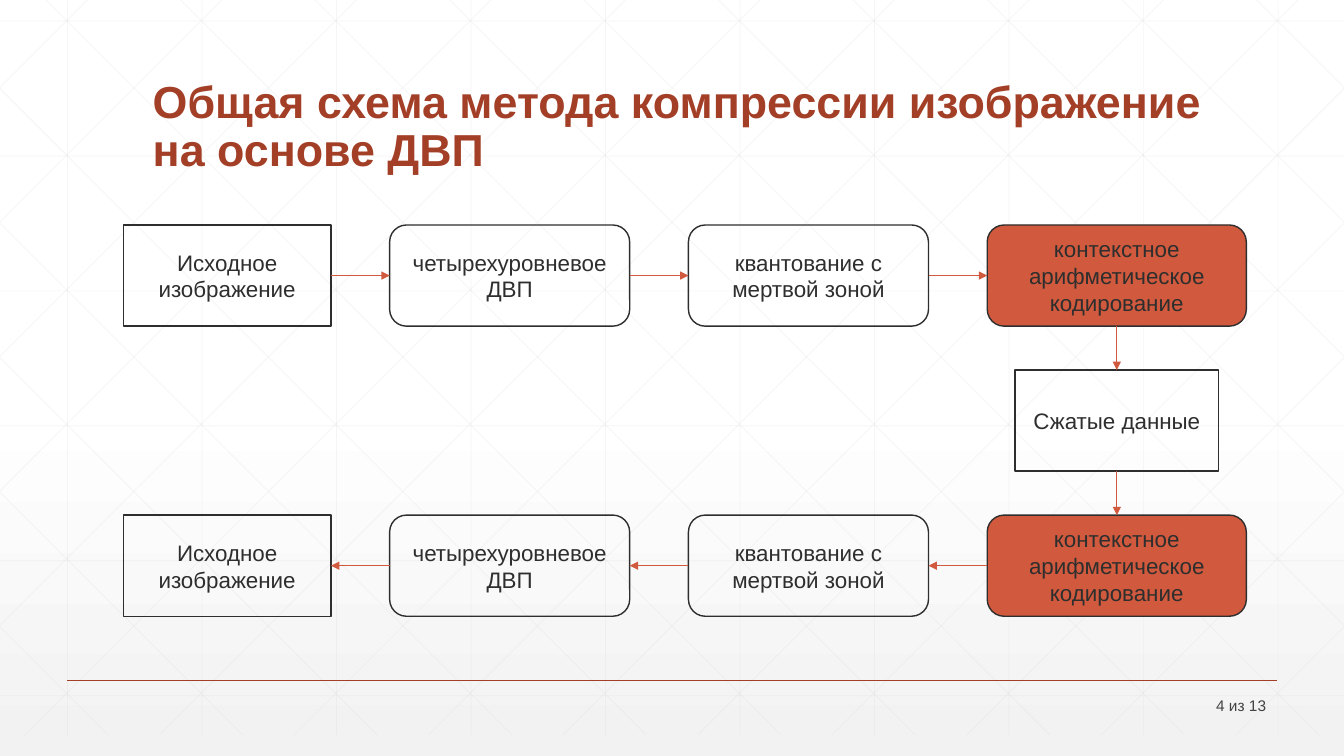
from lxml.etree import SubElement
from pptx import Presentation
from pptx.dml.color import RGBColor
from pptx.enum.shapes import MSO_CONNECTOR, MSO_SHAPE
from pptx.enum.text import MSO_ANCHOR, PP_ALIGN
from pptx.oxml.ns import qn
from pptx.util import Cm, Pt

TITLE = "Общая схема метода компрессии изображение на основе ДВП"
PAGE = "4 из 13"
COMPRESSED = "Сжатые данные"
STAGES = [
    ("Исходное изображение", 5.23, MSO_SHAPE.RECTANGLE, None),
    ("четырехуровневое\nДВП", 6.05, MSO_SHAPE.ROUNDED_RECTANGLE, None),
    ("квантование с мертвой зоной", 6.05, MSO_SHAPE.ROUNDED_RECTANGLE, None),
    ("контекстное арифметическое кодирование", 6.53, MSO_SHAPE.ROUNDED_RECTANGLE, "D15A3E"),
]
INK, ACCENT, RUST, GREY, MESH = "2D2E2D", "D15A3E", "A43F27", "424342", "D9D9D9"

WIDTH, HEIGHT = 33.87, 19.05
MESH_BOTTOM, MESH_STEP = 18.52, 3.39
ROW_LEFT, ROW_GAP = 3.11, 1.48
TOP_ROW, BOTTOM_ROW, BOX_HEIGHT = 5.67, 12.98, 2.55
COMPRESSED_WIDTH = 5.13
TOP, LEFT, BOTTOM, RIGHT = range(4)

prs = Presentation()
prs.slide_width, prs.slide_height = Cm(WIDTH), Cm(HEIGHT)
slide = prs.slides.add_slide(prs.slide_layouts[6])


def paint(color_format, color):
    color_format.rgb = RGBColor.from_string(color)


def add_line(x1, y1, x2, y2, color, width, alpha=None):
    s = slide.shapes.add_connector(
        MSO_CONNECTOR.STRAIGHT, Cm(x1), Cm(y1), Cm(x2), Cm(y2))
    paint(s.line.color, color)
    s.line.width = Pt(width)
    if alpha:
        clr = s.line._get_or_add_ln().find(".//" + qn("a:srgbClr"))
        SubElement(clr, qn("a:alpha"), val=str(alpha * 1000))
    SubElement(s._element.spPr, qn("a:effectLst"))
    return s


def add_arrow(source, source_side, target, target_side):
    s = add_line(0, 0, 1, 1, ACCENT, 0.5)
    s.begin_connect(source, source_side)
    s.end_connect(target, target_side)
    SubElement(s.line._get_or_add_ln(), qn("a:tailEnd"), type="triangle")


def write(s, text, size, color, align, anchor, bold=False, spacing=None):
    tf = s.text_frame
    tf.word_wrap = True
    tf.vertical_anchor = anchor
    tf.text = text
    for p in tf.paragraphs:
        p.alignment = align
        p.line_spacing = spacing
        for r in p.runs:
            r.font.name = "Arial"
            r.font.size = Pt(size)
            r.font.bold = bold
            paint(r.font.color, color)


def add_box(text, x, y, width, kind, fill=None):
    s = slide.shapes.add_shape(kind, Cm(x), Cm(y), Cm(width), Cm(BOX_HEIGHT))
    s.shadow.inherit = False
    if fill:
        s.fill.solid()
        paint(s.fill.fore_color, fill)
    else:
        s.fill.background()
    paint(s.line.color, INK)
    s.line.width = Pt(1)
    write(s, text, 16, INK, PP_ALIGN.CENTER, MSO_ANCHOR.MIDDLE)
    return s


def add_row(y):
    boxes, x = [], ROW_LEFT
    for text, width, kind, fill in STAGES:
        boxes.append(add_box(text, x, y, width, kind, fill))
        x += width + ROW_GAP
    return boxes


def add_mesh():
    for i in range(10):
        x = 1.7 + i * MESH_STEP
        add_line(x, 0, x, MESH_BOTTOM, MESH, 0.5, 25)
    for i in range(6):
        y = 0.53 + i * 3.4
        add_line(0, y, WIDTH, y, MESH, 0.5, 25)
    for i in range(-5, 10):
        x = 1.16 + i * MESH_STEP
        x1, x2 = max(0, x), min(WIDTH, x + MESH_BOTTOM)
        add_line(x1, x1 - x, x2, x2 - x, MESH, 0.5, 25)
        add_line(WIDTH - x1, x1 - x, WIDTH - x2, x2 - x, MESH, 0.5, 25)


def main():
    fill = slide.background.fill
    fill.gradient()
    fill.gradient_angle = 270
    for stop, (position, color) in zip(
            fill.gradient_stops, [(0.53, "FFFFFF"), (1, "F2F2F2")]):
        stop.position = position
        paint(stop.color, color)
    add_mesh()
    add_line(1.7, 17.14, 32.17, 17.14, RUST, 1)

    title = slide.shapes.add_textbox(Cm(3.6), Cm(1.4), Cm(27), Cm(3.17))
    write(title, TITLE, 32, RUST, PP_ALIGN.LEFT, MSO_ANCHOR.BOTTOM, True, 0.9)
    page = slide.shapes.add_textbox(Cm(29.62), Cm(17.48), Cm(2.54), Cm(0.6))
    write(page, PAGE, 11, GREY, PP_ALIGN.RIGHT, MSO_ANCHOR.MIDDLE)

    encoding, decoding = add_row(TOP_ROW), add_row(BOTTOM_ROW)
    coder_width = STAGES[-1][1]
    coder_left = ROW_LEFT + sum(stage[1] + ROW_GAP for stage in STAGES[:-1])
    compressed = add_box(
        COMPRESSED, coder_left + (coder_width - COMPRESSED_WIDTH) / 2,
        (TOP_ROW + BOTTOM_ROW) / 2, COMPRESSED_WIDTH, MSO_SHAPE.RECTANGLE)

    for source, target in zip(encoding, encoding[1:]):
        add_arrow(source, RIGHT, target, LEFT)
    add_arrow(encoding[-1], BOTTOM, compressed, TOP)
    add_arrow(compressed, BOTTOM, decoding[-1], TOP)
    for target, source in zip(decoding, decoding[1:]):
        add_arrow(source, LEFT, target, RIGHT)
    prs.save("out.pptx")


if __name__ == "__main__":
    main()
